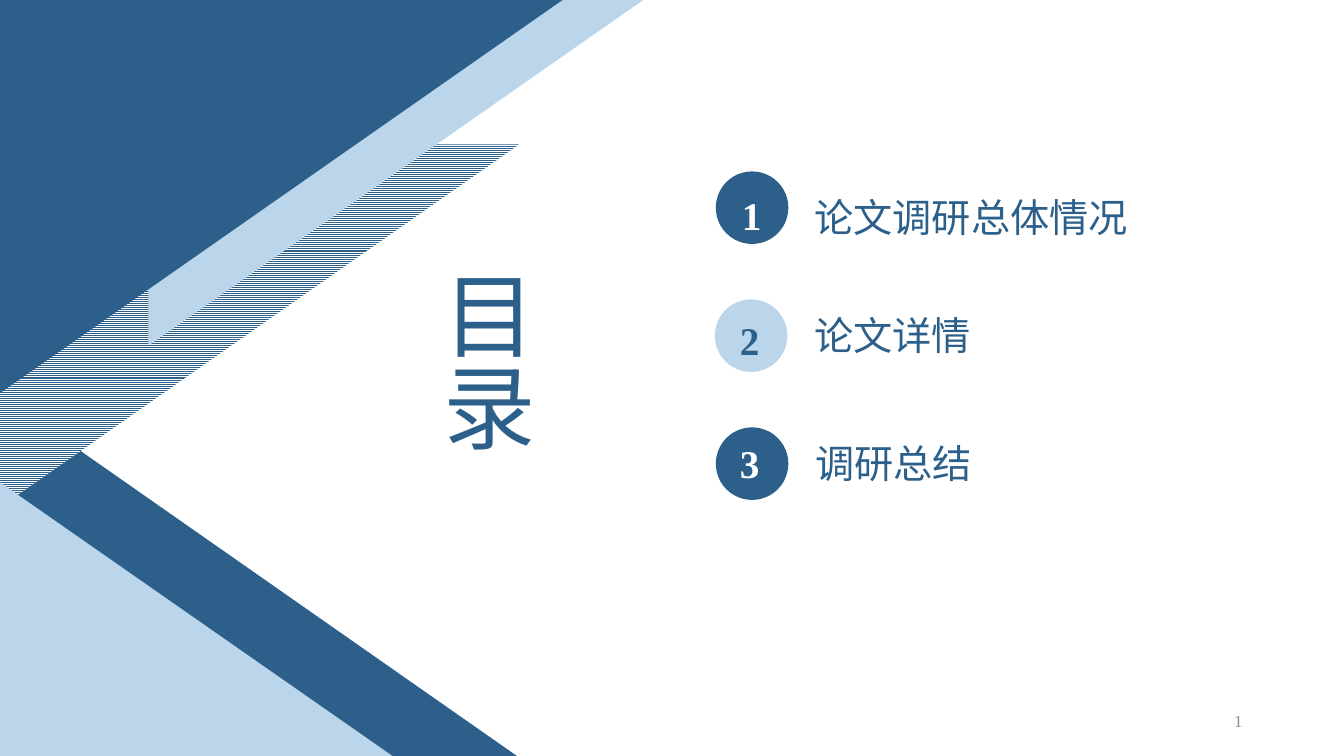
"""Build the contents slide with its corner triangles and numbered topics."""
from pptx import Presentation, util as u
from pptx.dml.color import RGBColor
from pptx.enum import dml, shapes, text
from pptx.oxml.ns import qn
from lxml import etree

NAVY = RGBColor(0x2C, 0x60, 0x8B)
SKY = RGBColor(0xBB, 0xD6, 0xEA)
WHITE = RGBColor(0xFF, 0xFF, 0xFF)
GREY = RGBColor(0x8C, 0x8C, 0x8C)
HAN, ROMAN = "Noto Sans CJK SC", "Times New Roman"
WIDE, HIGH = u.Inches(13.33), u.Inches(7.5)
COL, ROW = WIDE / 100, HIGH / 100

HEAD = dict(name=HAN, size=u.Pt(66), bold=False)
TOPIC = dict(name=HAN, size=u.Pt(28))
DIGIT = dict(name=ROMAN, size=u.Pt(28), bold=True)
FOLIO = dict(name=ROMAN, size=u.Pt(12))

CORNERS = [
    ((0, 52.2, 38.63, 48), NAVY, True, False),
    ((0, 19.1, 38.63, 48), NAVY, False, True),
    ((11.03, 0, 36.83, 45.73), SKY, False, False),
    ((0, 0, 41.86, 52), NAVY, False, False),
    ((0, 63.8, 29.26, 36.27), SKY, True, False),
]
TOPICS = [
    ("论文调研总体情况", NAVY, WHITE, 53.26, (54.46, 24.67), (59.86, 24.93), 25.96),
    ("论文详情", SKY, NAVY, 53.19, (54.31, 41.2), (59.86, 40.53), 22.06),
    ("调研总结", NAVY, WHITE, 53.26, (54.31, 57.47), (59.94, 57.47), 22.06),
]


def cells(left, top, wide, tall):
    """Turn grid columns and rows into slide lengths."""
    return [round(n) for n in (left * COL, top * ROW, wide * COL, tall * ROW)]


def style(font, form, tint):
    """Apply a dict of format values and a colour to a font."""
    for key, val in form.items():
        setattr(font, key, val)
    font.color.rgb = tint


def write(frame, words, form, tint):
    """Write one run, with the same face for East Asian letters."""
    run = frame.paragraphs[0].add_run()
    run.text = words
    style(run.font, form, tint)
    etree.SubElement(run.font._element, qn("a:ea"), typeface=form["name"])


def label(slide, box, words, form, tint):
    """Add a wrapped text box."""
    frame = slide.shapes.add_textbox(*cells(*box)).text_frame
    frame.word_wrap = True
    write(frame, words, form, tint)


def solid(slide, kind, box, tint):
    """Add a plain filled shape."""
    item = slide.shapes.add_shape(kind, *box)
    item.shadow.inherit = False
    item.fill.solid()
    item.fill.fore_color.rgb = tint
    item.line.fill.background()
    return item


def corner(slide, box, tint, low, ruled):
    """Add a quarter-turned triangle that covers the given grid area."""
    left, top, wide, tall = cells(*box)
    shift = (wide - tall) // 2
    place = (left + shift, top - shift, tall, wide)
    item = solid(slide, shapes.MSO_SHAPE.RIGHT_TRIANGLE, place, tint)
    item.rotation = 90
    if low:
        item._element.spPr.xfrm.set("flipH", "1")
    if ruled:
        item.fill.patterned()
        item.fill.pattern = dml.MSO_PATTERN.LIGHT_HORIZONTAL
        item.fill.fore_color.rgb = tint
        item.fill.back_color.rgb = WHITE


def title(slide, words):
    """Place the title as an upright column of letters."""
    head = slide.shapes.title
    head.left, head.top, head.width, head.height = cells(31.21, 34.93, 9.83, 29.47)
    frame = head.text_frame
    form = dict(word_wrap=True, auto_size=text.MSO_AUTO_SIZE.NONE,
                vertical_anchor=text.MSO_ANCHOR.TOP)
    for key, val in form.items():
        setattr(frame, key, val)
    frame._txBody.bodyPr.set("vert", "eaVert")
    frame.paragraphs[0].alignment = text.PP_ALIGN.JUSTIFY
    write(frame, words, HEAD, NAVY)


def topic(slide, rank, words, fill, ink, left, mark, start, wide):
    """Add a disc, its number and the topic beside it."""
    disc = cells(left, 22.67 + 16.93 * (rank - 1), 5.4, 9.6)
    label(slide, (*start, wide, 7.6), words, TOPIC, NAVY)
    solid(slide, shapes.MSO_SHAPE.OVAL, disc, fill)
    label(slide, (*mark, 3, 7.6), str(rank), DIGIT, ink)


def folio(slide, num):
    """Add the slide number as a live field."""
    frame = slide.shapes.add_textbox(*cells(70.67, 92.67, 22.51, 5.33)).text_frame
    frame.word_wrap = True
    frame.vertical_anchor = text.MSO_ANCHOR.MIDDLE
    para = frame.paragraphs[0]
    para.alignment = text.PP_ALIGN.RIGHT
    write(frame, num, FOLIO, GREY)
    run = para.runs[0]._r
    run.tag = qn("a:fld")
    run.set("id", "{B6F15528-21DE-4FAA-801E-634DDDAF4B2B}")
    run.set("type", "slidenum")


def main():
    """Build and save the slide."""
    deck = Presentation()
    deck.slide_width, deck.slide_height = WIDE, HIGH
    slide = deck.slides.add_slide(deck.slide_layouts[5])
    for row in CORNERS:
        corner(slide, *row)
    title(slide, "目录")
    for rank, row in enumerate(TOPICS, 1):
        topic(slide, rank, *row)
    folio(slide, "2")
    deck.save("out.pptx")


if __name__ == "__main__":
    main()
